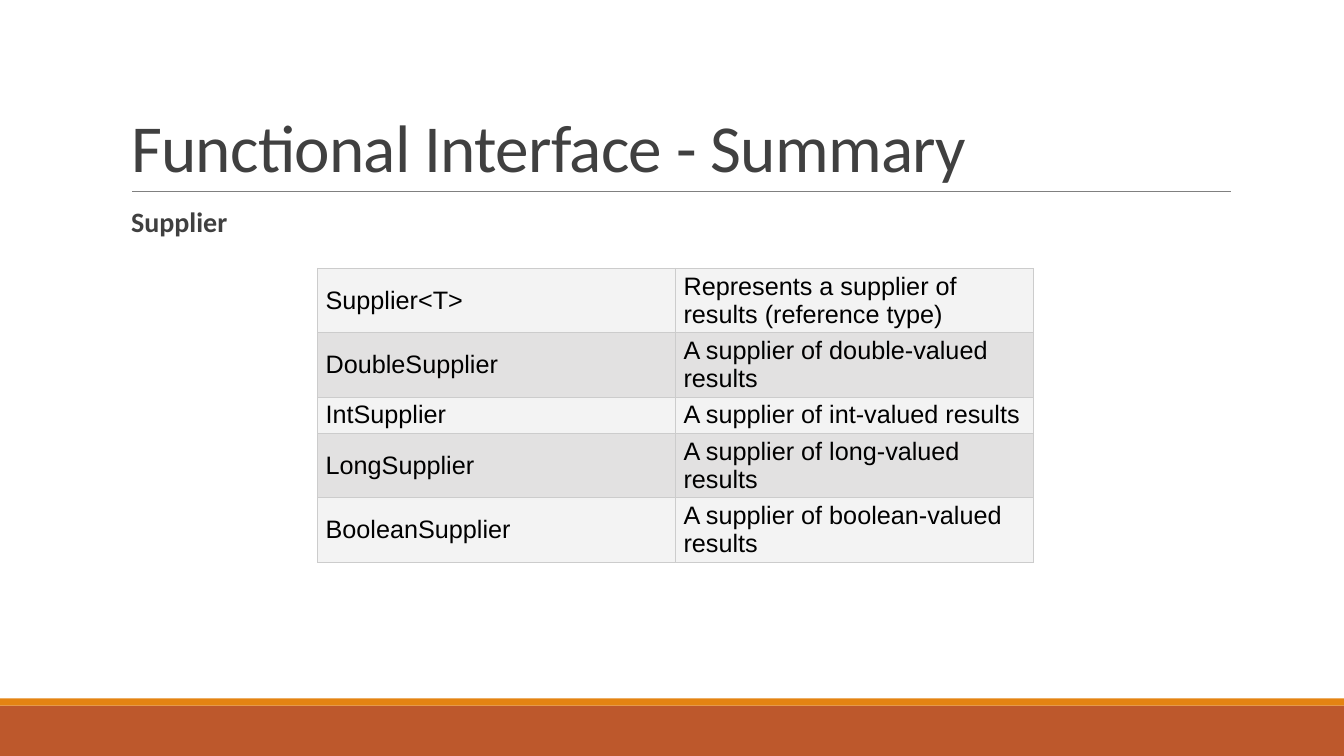
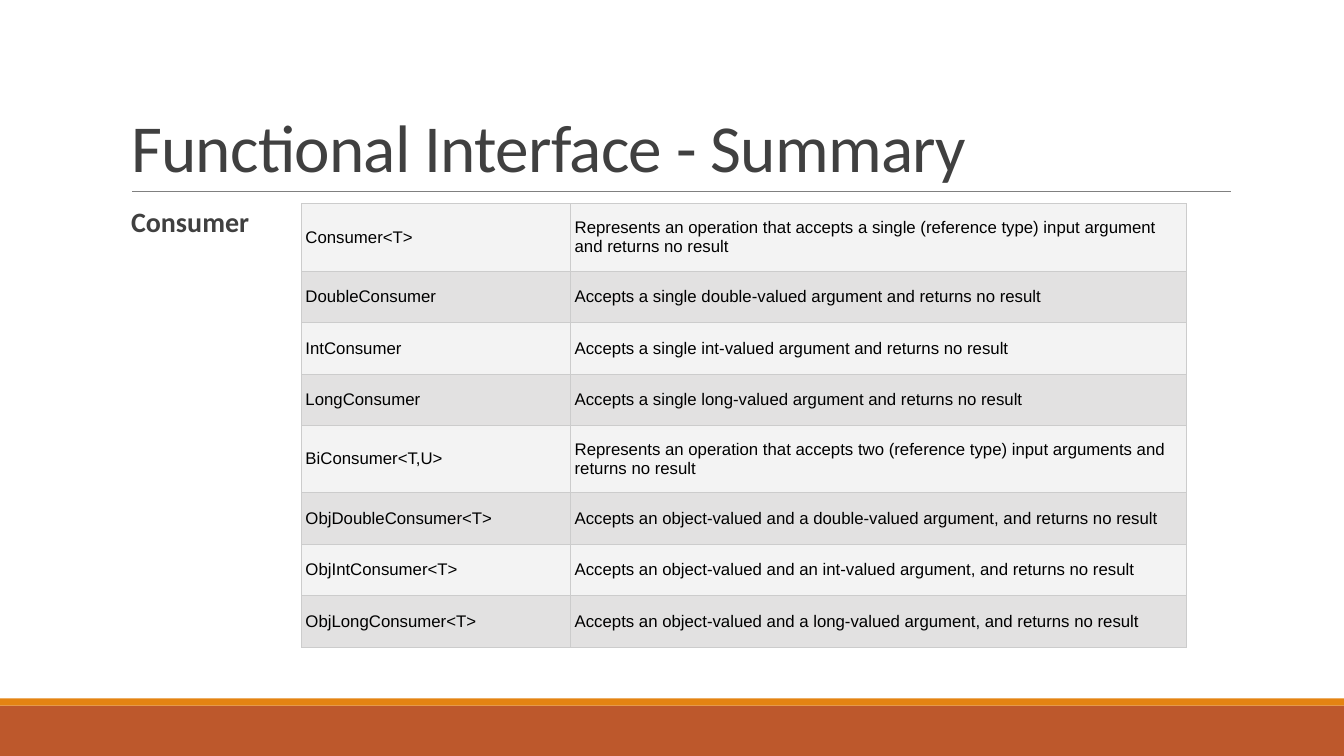
from lxml import etree
from pptx import Presentation
from pptx.dml.color import RGBColor
from pptx.enum import shapes, text
from pptx.oxml import ns
from pptx.util import Inches, Pt

RUST = RGBColor(0xBD, 0x58, 0x2C)
ORANGE = RGBColor(0xE4, 0x83, 0x12)
RULE_GRAY = RGBColor(0x80, 0x80, 0x80)
TEXT_GRAY = RGBColor(0x40, 0x40, 0x40)
BORDER_GRAY = RGBColor(0xCC, 0xCC, 0xCC)
BLACK = RGBColor(0, 0, 0)
ROW_FILLS = [RGBColor(0xF3, 0xF3, 0xF3), RGBColor(0xE2, 0xE1, 0xE1)]

TITLE = "Functional Interface - Summary"

SUMMARIES = [
    {
        "heading": "Supplier",
        "position": (3.15, 2.66),
        "columns": [3.55, 3.55],
        "row_heights": [0.64, 0.64, 0.36, 0.64, 0.64],
        "margins": (0.08, 0.04),
        "size": 18,
        "rows": [
            ("Supplier<T>", "Represents a supplier of results (reference type)"),
            ("DoubleSupplier", "A supplier of double-valued results"),
            ("IntSupplier", "A supplier of int-valued results"),
            ("LongSupplier", "A supplier of long-valued results"),
            ("BooleanSupplier", "A supplier of boolean-valued results"),
        ],
    },
    {
        "heading": "Consumer",
        "position": (2.99, 2.02),
        "columns": [2.67, 6.11],
        "row_heights": [0.67, 0.51, 0.51, 0.51, 0.67, 0.51, 0.51, 0.51],
        "margins": (0.04, 0.02),
        "size": 12,
        "rows": [
            ("Consumer<T>", "Represents an operation that accepts a single (reference type) "
                            "input argument and returns no result"),
            ("DoubleConsumer", "Accepts a single double-valued argument and returns no result"),
            ("IntConsumer", "Accepts a single int-valued argument and returns no result"),
            ("LongConsumer", "Accepts a single long-valued argument and returns no result"),
            ("BiConsumer<T,U>", "Represents an operation that accepts two (reference type) "
                                "input arguments and returns no result"),
            ("ObjDoubleConsumer<T>", "Accepts an object-valued and a double-valued argument, "
                                     "and returns no result"),
            ("ObjIntConsumer<T>", "Accepts an object-valued and an int-valued argument, "
                                  "and returns no result"),
            ("ObjLongConsumer<T>", "Accepts an object-valued and a long-valued argument, "
                                   "and returns no result"),
        ],
    },
]


def add_run(paragraph, content, font_name, size, color, bold=False):
    run = paragraph.add_run()
    run.text = content
    run.font.name = font_name
    run.font.size = Pt(size)
    run.font.color.rgb = color
    run.font.bold = bold
    return run


def add_borders(cell):
    properties = cell._tc.get_or_add_tcPr()
    for side in ("a:lnL", "a:lnR", "a:lnT", "a:lnB"):
        line = etree.SubElement(properties, ns.qn(side), w=str(Pt(0.6)))
        fill = etree.SubElement(line, ns.qn("a:solidFill"))
        etree.SubElement(fill, ns.qn("a:srgbClr"), val=str(BORDER_GRAY))


presentation = Presentation()
presentation.slide_width = Inches(13.33)
presentation.slide_height = Inches(7.5)

# Shared layout: placeholders, bands and the rule under the title
layout = presentation.slide_layouts[1]
for placeholder in list(layout.placeholders):
    if placeholder.placeholder_format.idx > 1:
        layout.shapes.element.remove(placeholder.element)

for placeholder, top, height in zip(layout.placeholders, (0.31, 2.02), (1.59, 4.4)):
    placeholder.left, placeholder.width = Inches(1.2), Inches(11)
    placeholder.top, placeholder.height = Inches(top), Inches(height)
    placeholder.text_frame.word_wrap = True
    placeholder.text_frame.auto_size = text.MSO_AUTO_SIZE.NONE
title_frame, body_frame = [placeholder.text_frame for placeholder in layout.placeholders]
title_frame.vertical_anchor = text.MSO_ANCHOR.BOTTOM
body_frame.margin_left = body_frame.margin_right = 0

slides = [presentation.slides.add_slide(layout) for summary in SUMMARIES]

# Layouts cannot add shapes, so these are made on a slide and moved to the layout
for top, height, color in ((7, 0.5, RUST), (6.93, 0.07, ORANGE)):
    band = slides[0].shapes.add_shape(
        shapes.MSO_SHAPE.RECTANGLE, 0, Inches(top), presentation.slide_width, Inches(height))
    band.shadow.inherit = False
    band.fill.solid()
    band.fill.fore_color.rgb = color
    band.line.fill.background()
rule = slides[0].shapes.add_connector(
    shapes.MSO_CONNECTOR.STRAIGHT, Inches(1.31), Inches(1.9), Inches(12.21), Inches(1.9))
rule.line.color.rgb = RULE_GRAY
rule.line.width = Pt(0.5)
etree.SubElement(rule.element.spPr, ns.qn("a:effectLst"))
for shape in list(slides[0].shapes):
    if not shape.is_placeholder:
        layout.shapes.element.append(shape.element)

for slide, summary in zip(slides, SUMMARIES):
    paragraph = slide.shapes.title.text_frame.paragraphs[0]
    paragraph.alignment = text.PP_ALIGN.LEFT
    paragraph.line_spacing = 0.85
    run = add_run(paragraph, TITLE, "Calibri", 48, TEXT_GRAY)
    run._r.get_or_add_rPr().set("spc", "-50")

    paragraph = slide.placeholders[1].text_frame.paragraphs[0]
    paragraph.line_spacing = 0.9
    paragraph.space_before = Pt(12)
    paragraph.space_after = Pt(2)
    properties = paragraph._p.get_or_add_pPr()
    properties.set("marL", str(Inches(0.1)))
    properties.set("indent", str(Inches(-0.1)))
    bullet_color = etree.SubElement(properties, ns.qn("a:buClr"))
    etree.SubElement(bullet_color, ns.qn("a:srgbClr"), val=str(ORANGE))
    etree.SubElement(properties, ns.qn("a:buChar"), char=" ")
    add_run(paragraph, summary["heading"], "Calibri", 20, TEXT_GRAY, bold=True)

    left, top = summary["position"]
    columns, row_heights = summary["columns"], summary["row_heights"]
    table = slide.shapes.add_table(
        len(row_heights), len(columns), Inches(left), Inches(top),
        Inches(sum(columns)), Inches(sum(row_heights))).table
    table.first_row = table.horz_banding = False
    for column, width in zip(table.columns, columns):
        column.width = Inches(width)
    side_margin, edge_margin = summary["margins"]
    for row_index, contents in enumerate(summary["rows"]):
        table.rows[row_index].height = Inches(row_heights[row_index])
        for cell, content in zip(table.rows[row_index].cells, contents):
            cell.vertical_anchor = text.MSO_ANCHOR.MIDDLE
            cell.margin_left = cell.margin_right = Inches(side_margin)
            cell.margin_top = cell.margin_bottom = Inches(edge_margin)
            add_borders(cell)
            cell.fill.solid()
            cell.fill.fore_color.rgb = ROW_FILLS[row_index % 2]
            add_run(cell.text_frame.paragraphs[0], content, "Arial", summary["size"], BLACK)

presentation.save("out.pptx")
